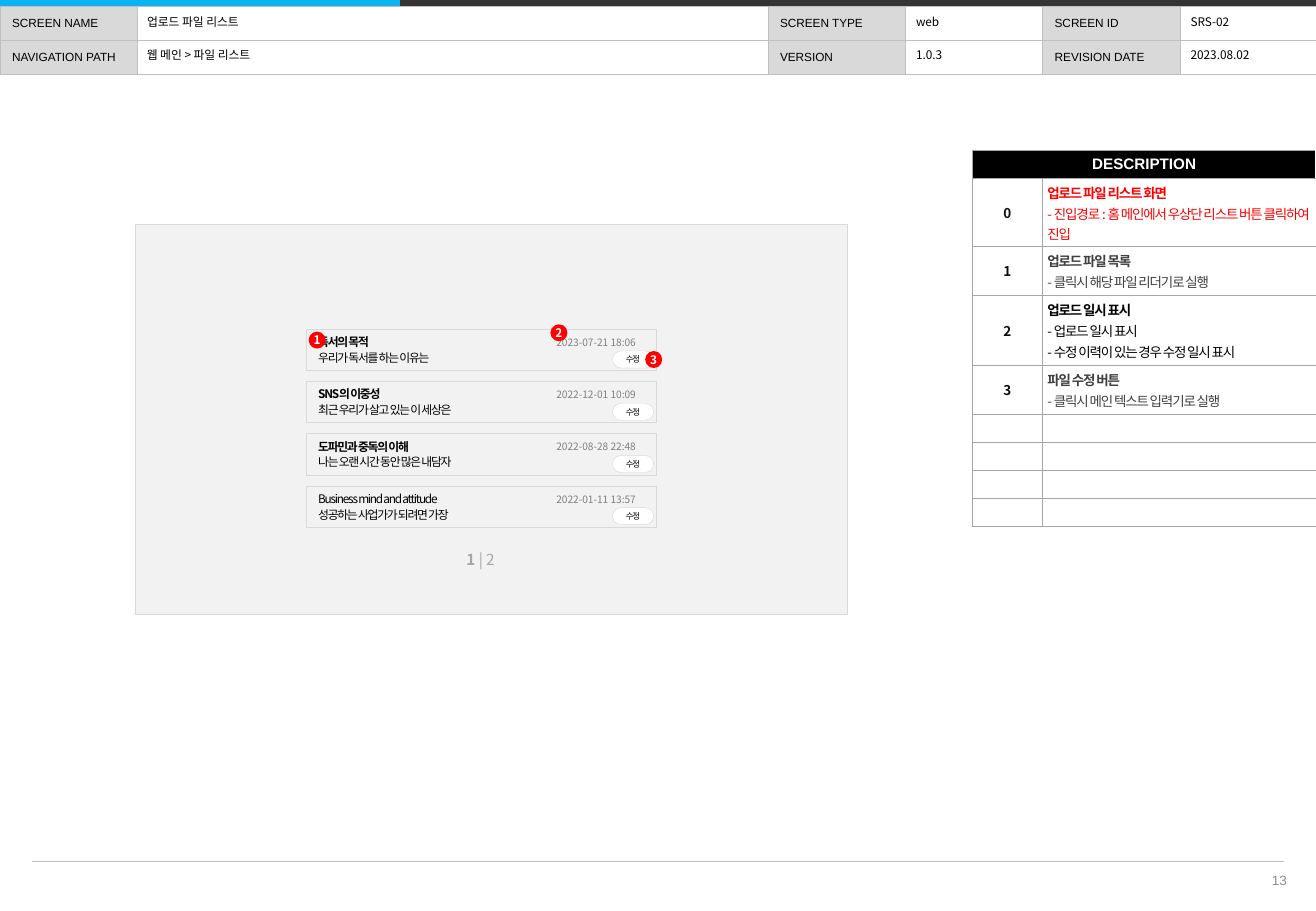
from typing import NamedTuple

from lxml.etree import SubElement
from pptx import Presentation
from pptx.dml.color import RGBColor
from pptx.enum.shapes import MSO_CONNECTOR, MSO_SHAPE
from pptx.enum.text import MSO_ANCHOR, MSO_AUTO_SIZE, PP_ALIGN
from pptx.oxml.ns import qn
from pptx.util import Inches, Pt

NOTO = "Noto Sans CJK KR"
TIGHT = -0.7


class TextStyle(NamedTuple):
    size: float
    color: str = "000000"
    bold: bool = False
    font: str = NOTO
    spacing: float = 0


class Rule(NamedTuple):
    start: float
    end: float
    y: float
    color: str
    width: float


class HeaderField(NamedTuple):
    left: float
    top: float
    width: float
    text: str


class Description(NamedTuple):
    number: str
    height: float
    color: str
    lines: list[str]


class FileCard(NamedTuple):
    name: str
    excerpt: str
    date: str
    bold: bool = True


class Badge(NamedTuple):
    number: str
    left: float
    top: float


RULES = [
    Rule(0.26, 10.57, 7.09, "BFBFBF", 0.5),
    Rule(0, 3.29, 0.02, "0BB3F1", 4),
    Rule(3.29, 10.83, 0.02, "343434", 4),
]
HEADER_LABELS = [
    ["SCREEN NAME", "SCREEN TYPE", "SCREEN ID"],
    ["NAVIGATION PATH", "VERSION", "REVISION DATE"],
]
HEADER_FIELDS = [
    HeaderField(1.11, 0.32, 5.22, "웹 메인 > 파일 리스트"),
    HeaderField(7.44, 0.05, 1.12, "web"),
    HeaderField(7.44, 0.32, 1.12, "1.0.3"),
    HeaderField(9.7, 0.05, 1.12, "SRS-02"),
    HeaderField(9.7, 0.32, 1.12, "2023.08.02"),
]
DESCRIPTIONS = [
    Description("0", 0.56, "FF0000", ["업로드 파일 리스트 화면", "- 진입경로 : 홈 메인에서 우상단 리스트 버튼 클릭하여 진입"]),
    Description("1", 0.4, "404040", ["업로드 파일 목록", "- 클릭시 해당 파일 리더기로 실행"]),
    Description("2", 0.58, "000000", ["업로드 일시 표시", "- 업로드 일시 표시", "- 수정 이력이 있는 경우 수정 일시 표시"]),
    Description("3", 0.4, "404040", ["파일 수정 버튼", "- 클릭시 메인 텍스트 입력기로 실행"]),
] + [Description("", 0.23, "000000", [""])] * 4
CARDS = [
    FileCard("독서의 목적", "우리가 독서를 하는 이유는", "2023-07-21 18:06"),
    FileCard("SNS의 이중성", "최근 우리가 살고 있는 이 세상은", "2022-12-01 10:09"),
    FileCard("도파민과 중독의 이해", "나는 오랜 시간 동안 많은 내담자", "2022-08-28 22:48"),
    FileCard("Business mind and attitude", "성공하는 사업가가 되려면 가장", "2022-01-11 13:57", False),
]
CARD_TOP, CARD_STEP = 2.71, 0.43
BADGES = [Badge("1", 2.54, 2.73), Badge("2", 4.53, 2.67), Badge("3", 5.31, 2.89)]


def rgb(color: str) -> RGBColor:
    return RGBColor.from_string(color)


def style_run(run, style: TextStyle) -> None:
    run.font.name = style.font
    run.font.size = Pt(style.size)
    run.font.bold = style.bold
    run.font.color.rgb = rgb(style.color)
    properties = run.font._element
    SubElement(properties, qn("a:ea"), typeface=style.font)
    if style.spacing:
        properties.set("spc", str(round(style.spacing * 100)))


def write(frame, lines: list[str], styles: list[TextStyle], align=PP_ALIGN.LEFT,
          gap: float = 0, line_spacing: float = 1) -> None:
    """Fill a text frame; the last style serves all remaining lines."""
    frame.text = "\n".join(lines)
    frame.word_wrap = True
    for index, paragraph in enumerate(frame.paragraphs):
        style = styles[min(index, len(styles) - 1)]
        paragraph.alignment = align
        paragraph.line_spacing = line_spacing
        paragraph.space_before = Pt(gap if index else 0)
        for run in paragraph.runs:
            style_run(run, style)
        if not paragraph.runs:
            paragraph._p.get_or_add_endParaRPr().set("sz", str(int(style.size * 100)))


def set_insets(target, horizontal: float, vertical: float) -> None:
    target.margin_left = target.margin_right = Inches(horizontal)
    target.margin_top = target.margin_bottom = Inches(vertical)


def add_text(slide, left: float, top: float, width: float, height: float, text: str,
             style: TextStyle, anchor=MSO_ANCHOR.TOP, **layout):
    shape = slide.shapes.add_textbox(Inches(left), Inches(top), Inches(width), Inches(height))
    shape.text_frame.vertical_anchor = anchor
    write(shape.text_frame, [text], [style], **layout)
    return shape


def add_box(slide, kind, left: float, top: float, width: float, height: float,
            fill: str, line: str | None = "D9D9D9"):
    shape = slide.shapes.add_shape(kind, Inches(left), Inches(top), Inches(width), Inches(height))
    shape.shadow.inherit = False
    shape.fill.solid()
    shape.fill.fore_color.rgb = rgb(fill)
    if line:
        shape.line.color.rgb = rgb(line)
        shape.line.width = Pt(0.25)
    else:
        shape.line.fill.background()
    set_insets(shape.text_frame, 0, 0)
    shape.text_frame.vertical_anchor = MSO_ANCHOR.MIDDLE
    return shape


def add_rule(slide, rule: Rule) -> None:
    line = slide.shapes.add_connector(MSO_CONNECTOR.STRAIGHT, Inches(rule.start), Inches(rule.y),
                                      Inches(rule.end), Inches(rule.y))
    line.line.color.rgb = rgb(rule.color)
    line.line.width = Pt(rule.width)
    SubElement(line._element.spPr, qn("a:effectLst"))


def add_grid(slide, left: float, top: float, columns: list[float], rows: list[float]):
    table = slide.shapes.add_table(len(rows), len(columns), Inches(left), Inches(top),
                                   Inches(sum(columns)), Inches(sum(rows))).table
    table.first_row = table.horz_banding = False
    for column, width in zip(table.columns, columns):
        column.width = Inches(width)
    for row, height in zip(table.rows, rows):
        row.height = Inches(height)
    return table


def format_cell(cell, fill: str | None, border: str, sides: str = "LRTB") -> None:
    properties = cell._tc.get_or_add_tcPr()
    for side in sides:
        line = SubElement(properties, qn(f"a:ln{side}"), w=str(Pt(0.25)))
        SubElement(SubElement(line, qn("a:solidFill")), qn("a:srgbClr"), val=border)
    if fill:
        cell.fill.solid()
        cell.fill.fore_color.rgb = rgb(fill)
    else:
        cell.fill.background()
    cell.vertical_anchor = MSO_ANCHOR.MIDDLE


presentation = Presentation()
presentation.slide_width, presentation.slide_height = Inches(10.83), Inches(7.5)
slide = presentation.slides.add_slide(presentation.slide_layouts[5])

# Rules and header table
for rule in RULES:
    add_rule(slide, rule)
header = add_grid(slide, 0, 0.05, [1.13, 5.19] + [1.13] * 4, [0.28] * 2)
for row, labels in enumerate(HEADER_LABELS):
    for column in range(6):
        label = "" if column % 2 else labels[column // 2]
        cell = header.cell(row, column)
        write(cell.text_frame, [label], [TextStyle(7, font="Arial")])
        format_cell(cell, "D9D9D9" if label else None, "BFBFBF")

# Title and header values
title = slide.shapes.title
title.left, title.top, title.width, title.height = map(Inches, (1.11, 0.05, 5.22, 0.28))
title.text_frame.auto_size = MSO_AUTO_SIZE.NONE
title.text_frame.vertical_anchor = MSO_ANCHOR.MIDDLE
write(title.text_frame, ["업로드 파일 리스트"], [TextStyle(7)], line_spacing=0.9)
for field in HEADER_FIELDS:
    add_text(slide, field.left, field.top, field.width, 0.28, field.text, TextStyle(7),
             MSO_ANCHOR.MIDDLE, line_spacing=0.9)

# Description table
table = add_grid(slide, 8, 1.24, [0.58, 2.25], [0.23] + [item.height for item in DESCRIPTIONS])
table.cell(0, 0).merge(table.cell(0, 1))
write(table.cell(0, 0).text_frame, ["DESCRIPTION"], [TextStyle(9, "FFFFFF", True, "Arial")], PP_ALIGN.CENTER)
for column in range(2):
    format_cell(table.cell(0, column), "000000", "A6A6A6", "LTB")
    set_insets(table.cell(0, column), 0.1, 0.04)
for row, item in enumerate(DESCRIPTIONS, 1):
    number, detail = table.cell(row, 0), table.cell(row, 1)
    write(number.text_frame, [item.number], [TextStyle(8, "0D0D0D", True, spacing=TIGHT)], PP_ALIGN.CENTER)
    write(detail.text_frame, item.lines,
          [TextStyle(8, item.color, bold, spacing=TIGHT) for bold in (True, False)], gap=1)
    format_cell(number, "FFFFFF", "A6A6A6")
    format_cell(detail, "FFFFFF", "A6A6A6", "LTB")
    set_insets(number, 0, 0.03)
    set_insets(detail, 0.04, 0.03)

# Screen area with file cards
add_box(slide, MSO_SHAPE.RECTANGLE, 1.11, 1.85, 5.86, 3.21, "F2F2F2")
for index, card in enumerate(CARDS):
    top = CARD_TOP + index * CARD_STEP
    box = add_box(slide, MSO_SHAPE.RECTANGLE, 2.52, top, 2.88, 0.34, "F2F2F2")
    set_insets(box.text_frame, 0.1, 0)
    write(box.text_frame, [card.name, card.excerpt],
          [TextStyle(7, bold=bold, spacing=TIGHT) for bold in (card.bold, False)], gap=1)
    add_text(slide, 4.48, top + 0.01, 1, 0.2, card.date, TextStyle(6, "808080"))
    button = add_box(slide, MSO_SHAPE.ROUNDED_RECTANGLE, 5.04, top + 0.18, 0.34, 0.14, "FFFFFF")
    button.adjustments[0] = 0.5
    write(button.text_frame, ["수정"], [TextStyle(5, spacing=TIGHT)], PP_ALIGN.CENTER)

# Pagination
pages = add_text(slide, 3.74, 4.48, 0.6, 0.25, "1", TextStyle(9, "A6A6A6", True))
other_pages = pages.text_frame.paragraphs[0].add_run()
other_pages.text = " | 2"
style_run(other_pages, TextStyle(9, "A6A6A6"))

# Numbered badges and slide number
for badge in BADGES:
    circle = add_box(slide, MSO_SHAPE.OVAL, badge.left, badge.top, 0.14, 0.14, "FF0000", None)
    write(circle.text_frame, [badge.number], [TextStyle(7, "FFFFFF", True)], PP_ALIGN.CENTER)
add_text(slide, 8.25, 7.05, 2.44, 0.4, "13", TextStyle(8, "8C8C8C", font="Arial"),
         MSO_ANCHOR.MIDDLE, align=PP_ALIGN.RIGHT)

presentation.save("out.pptx")
